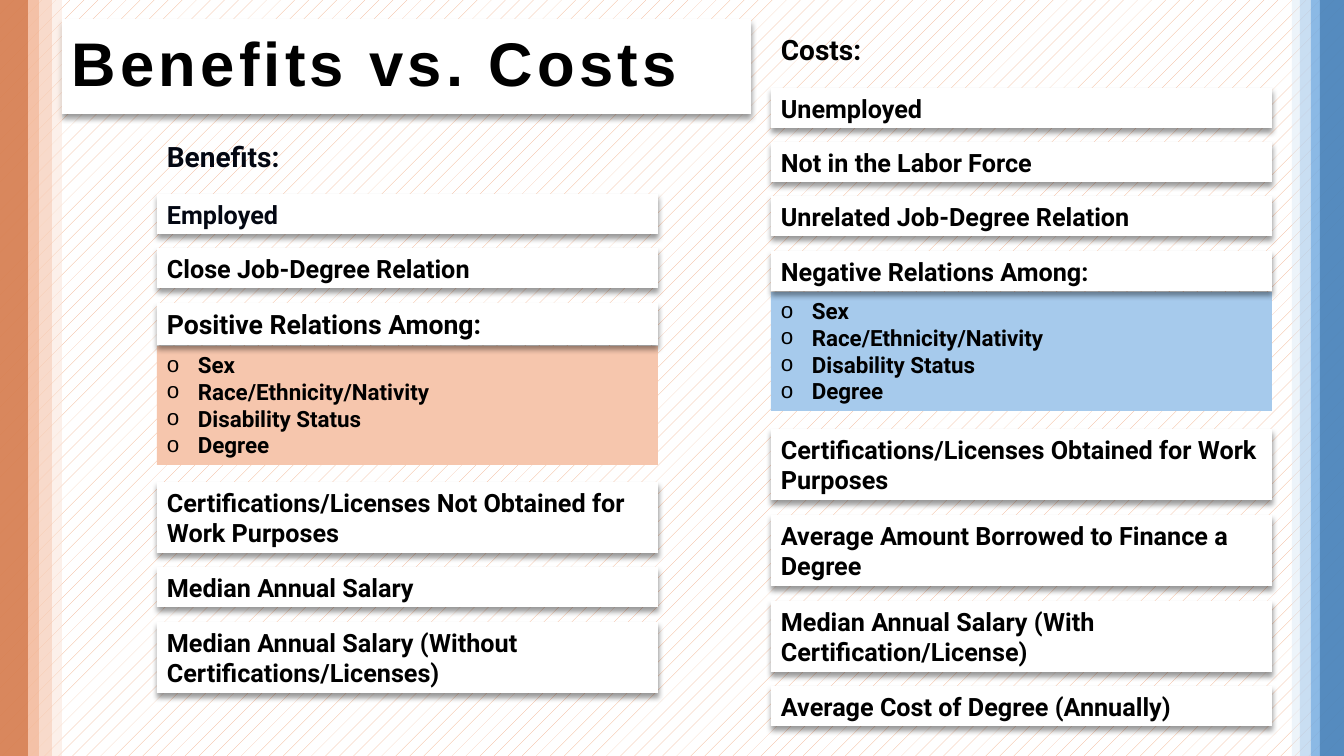
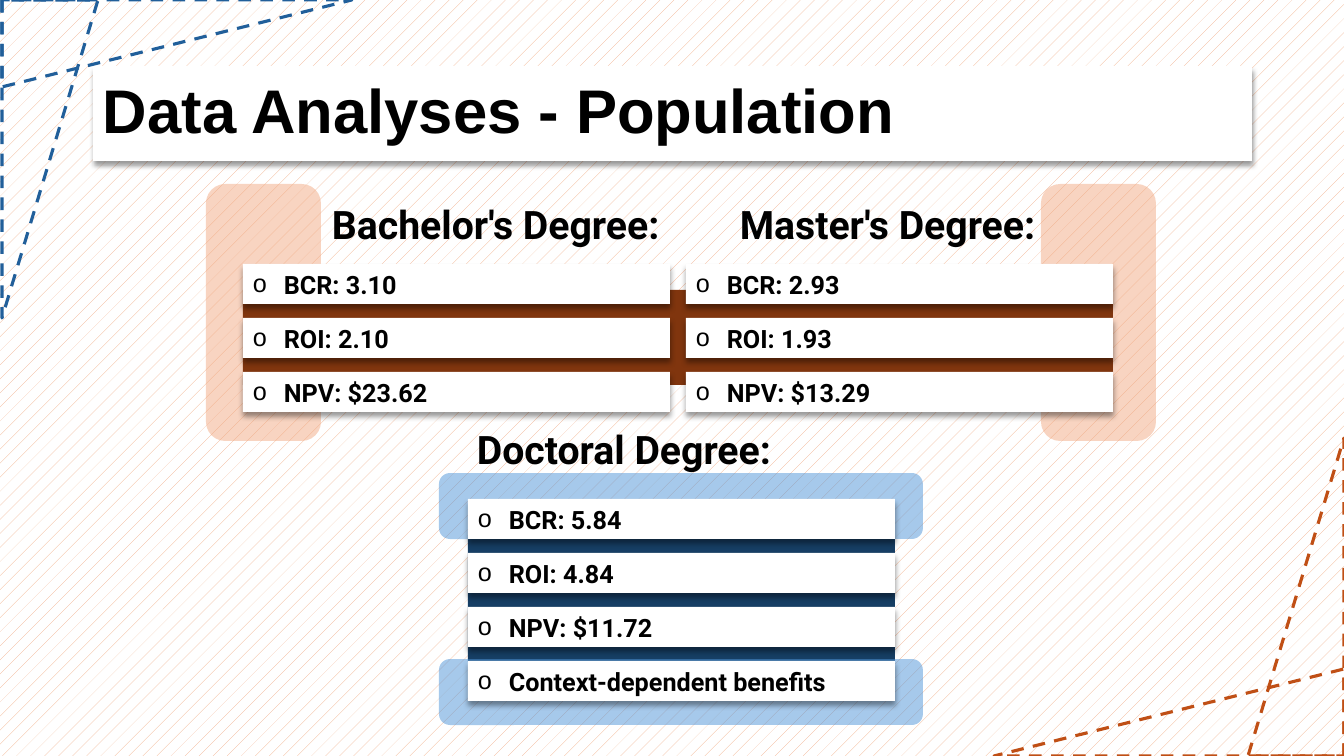
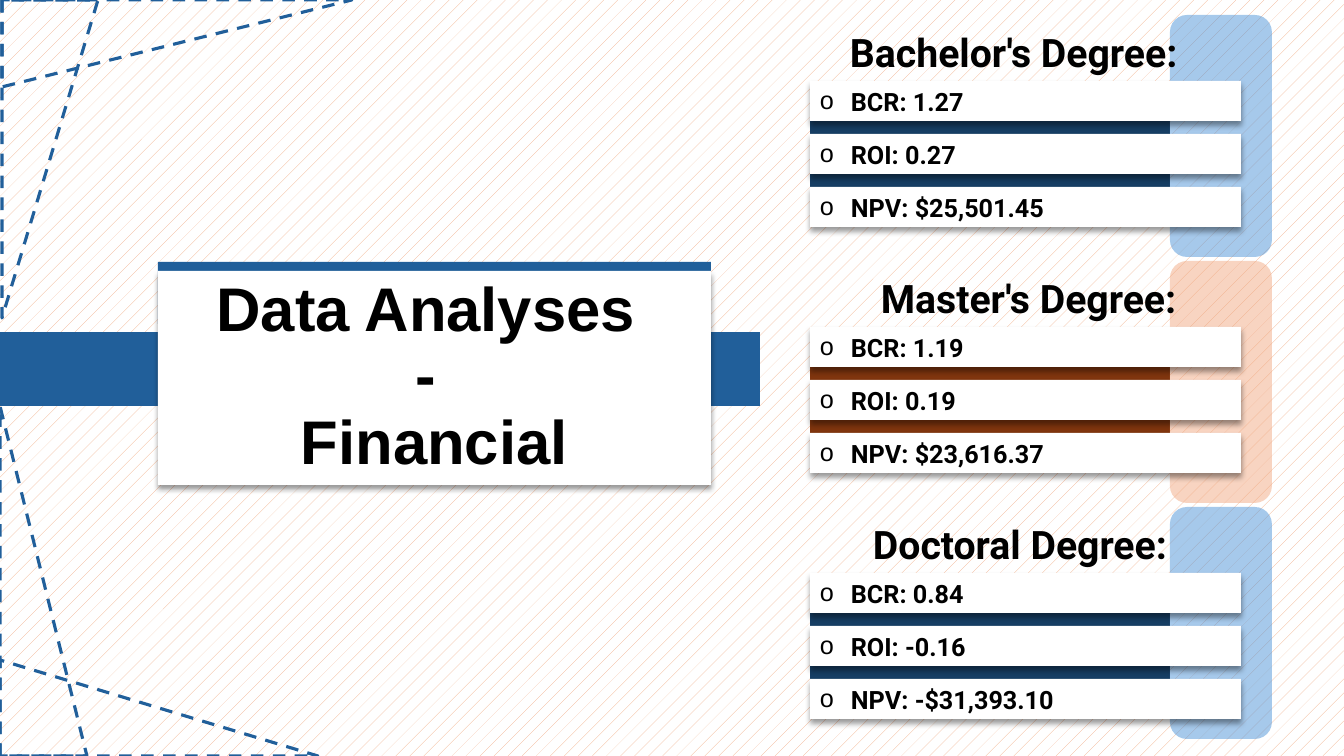
from lxml.etree import SubElement
from pptx import Presentation
from pptx.dml.color import RGBColor
from pptx.enum.dml import MSO_LINE, MSO_PATTERN
from pptx.enum.shapes import MSO_SHAPE
from pptx.enum.text import MSO_ANCHOR, MSO_AUTO_SIZE, PP_ALIGN
from pptx.oxml.ns import qn
from pptx.util import Pt

SLIDE_W, SLIDE_H = 1344, 756
EMU_PER_PX = 12192000 / SLIDE_W

WHITE, BLACK, INK = "FFFFFF", "000000", "030712"
ORANGE, PEACH, RUST, BROWN = "F2AA84", "F6C6AD", "C04F15", "80350E"
BLUE, SKY, ROYAL, NAVY = "4E95D9", "A6CAEC", "215F9A", "163E64"
TITLE_FONT, BODY_FONT = "Arial", "Roboto"
ROW_H = 40
BULLET_INDENT = 31

RELATIONS = ["Sex", "Race/Ethnicity/Nativity", "Disability Status", "Degree"]

# Each row: top within the column, height, size, text
BENEFITS = [
    (59, ROW_H, 18, "Employed"),
    (113, ROW_H, 18, "Close Job-Degree Relation"),
    (168, 42, 19, "Positive Relations Among:"),
    (347, 71, 18, "Certifications/Licenses Not Obtained for Work Purposes"),
    (432, ROW_H, 18, "Median Annual Salary"),
    (487, 71, 18, "Median Annual Salary (Without Certifications/Licenses)"),
]
COSTS = [
    (60, ROW_H, 18, "Unemployed"),
    (114, ROW_H, 18, "Not in the Labor Force"),
    (168, ROW_H, 18, "Unrelated Job-Degree Relation"),
    (223, ROW_H, 18, "Negative Relations Among:"),
    (401, 71, 18, "Certifications/Licenses Obtained for Work Purposes"),
    (487, 71, 18, "Average Amount Borrowed to Finance a Degree"),
    (573, 71, 18, "Median Annual Salary (With Certification/License)"),
    (658, ROW_H, 18, "Average Cost of Degree (Annually)"),
]


def px(length):
    return round(length * EMU_PER_PX)


def rgb(value):
    return RGBColor.from_string(value)


def new_slide(prs):
    slide = prs.slides.add_slide(prs.slide_layouts[6])
    fill = slide.background.fill
    fill.patterned()
    fill.pattern = MSO_PATTERN.PERCENT_5
    fill.fore_color.rgb = rgb(ORANGE)
    fill.back_color.rgb = rgb(WHITE)
    return slide


def add_shadow(shape):
    effects = shape._element.spPr.find(qn("a:effectLst"))
    outer = SubElement(effects, qn("a:outerShdw"), blurRad="50800", dist="38100",
                       dir="5400000", algn="t", rotWithShape="0")
    color = SubElement(outer, qn("a:srgbClr"), val=BLACK)
    SubElement(color, qn("a:alpha"), val="40000")


def block(slide, box, color, kind=MSO_SHAPE.RECTANGLE, alpha=None, shadow=False):
    shape = slide.shapes.add_shape(kind, *map(px, box))
    shape.shadow.inherit = False
    shape.line.fill.background()
    shape.fill.solid()
    shape.fill.fore_color.rgb = rgb(color)
    if alpha:
        solid = shape._element.spPr.find(qn("a:solidFill"))
        SubElement(solid[0], qn("a:alpha"), val=str(alpha * 1000))
    if shadow:
        add_shadow(shape)
    return shape


def add_run(paragraph, text, size, color=BLACK, font=BODY_FONT):
    run = paragraph.add_run()
    run.text = text
    run.font.size = Pt(size)
    run.font.name = font
    run.font.bold = True
    run.font.color.rgb = rgb(color)
    return run


def add_bullet(paragraph):
    props = paragraph._p.get_or_add_pPr()
    props.set("marL", str(px(BULLET_INDENT)))
    props.set("indent", str(-px(BULLET_INDENT)))
    SubElement(props, qn("a:buFont"), typeface=TITLE_FONT)
    SubElement(props, qn("a:buChar"), char="o")


def write(shape, lines, size, color=BLACK, bullets=False):
    frame = shape.text_frame
    frame.word_wrap = True
    frame.auto_size = MSO_AUTO_SIZE.SHAPE_TO_FIT_TEXT
    frame.vertical_anchor = MSO_ANCHOR.TOP
    for index, line in enumerate(lines):
        paragraph = frame.add_paragraph() if index else frame.paragraphs[0]
        paragraph.alignment = PP_ALIGN.LEFT
        if bullets:
            add_bullet(paragraph)
        add_run(paragraph, line, size, color)


def heading(slide, box, text, size=28, color=BLACK):
    write(slide.shapes.add_textbox(*map(px, box)), [text], size, color)


def title(slide, box, lines, align=PP_ALIGN.LEFT, tracking=0):
    panel = block(slide, box, WHITE, shadow=True)
    frame = panel.text_frame
    frame.word_wrap = True
    frame.vertical_anchor = MSO_ANCHOR.MIDDLE
    paragraph = frame.paragraphs[0]
    paragraph.alignment = align
    paragraph.line_spacing = 0.9
    for index, line in enumerate(lines):
        if index:
            paragraph.add_line_break()
        run = add_run(paragraph, line, 44, font=TITLE_FONT)
        if tracking:
            run.font._element.set("spc", str(tracking * 100))
    # Line breaks take the same size as the text
    for line_break in paragraph._p.findall(qn("a:br")):
        SubElement(line_break, qn("a:rPr"), sz="4400", b="1")


def corner(slide, x, y, wide, tall, color, right=False, bottom=False):
    """Two dashed triangles whose right angles meet at the point x, y."""
    for w, h in (wide, tall):
        box = (x - w if right else x, y - h if bottom else y, w, h)
        triangle = slide.shapes.add_shape(MSO_SHAPE.RIGHT_TRIANGLE, *map(px, box))
        triangle.shadow.inherit = False
        triangle.fill.background()
        triangle.line.color.rgb = rgb(color)
        triangle.line.width = Pt(2.25)
        triangle.line.dash_style = MSO_LINE.DASH
        frame = triangle._element.spPr.find(qn("a:xfrm"))
        if right:
            frame.set("flipH", "1")
        if not bottom:
            frame.set("flipV", "1")


def edge_bands(slide, bands, right=False):
    for width, color in bands:
        left = SLIDE_W - width if right else 0
        block(slide, (left, 0, width, SLIDE_H), color, alpha=50)


def comparison_column(slide, x, y, name, rows, list_top, list_color, name_color=BLACK,
                      dark_first=BLACK):
    width = 501
    relations = block(slide, (x, y + list_top, width, 119), list_color)
    write(relations, RELATIONS, 16, bullets=True)
    heading(slide, (x, y, width, 44), name, 20, name_color)
    for index, (top, height, size, text) in enumerate(rows):
        row = block(slide, (x, y + top, width, height), WHITE, shadow=True)
        write(row, [text], size, BLACK if index else dark_first)


def measures(slide, x, y, width, pitch, lines):
    for index, line in enumerate(lines):
        row = block(slide, (x, y + index * pitch, width, ROW_H), WHITE, shadow=True)
        write(row, [line], 18, bullets=True)


def rounded(slide, box, color):
    block(slide, box, color, MSO_SHAPE.ROUNDED_RECTANGLE, alpha=50)


def top_left_corner(slide):
    corner(slide, 2, 0, (350, 87), (96, 318), ROYAL)


def degree_panel(slide, x, y, name, name_x, lines, backing, tab, tab_h):
    block(slide, (x, y + 96, 360, 92), backing)
    rounded(slide, (x + 360, y, 102, tab_h), tab)
    heading(slide, (x + name_x, y + 8, 431, 57), name)
    measures(slide, x, y + 66, 431, 53, lines)


def benefits_and_costs(prs):
    slide = new_slide(prs)
    title(slide, (62, 19, 689, 95), ["Benefits vs. Costs"], tracking=3)
    edge_bands(slide, [(62, "FBE3D6"), (52, PEACH), (39, ORANGE), (28, RUST)])
    edge_bands(slide, [(52, "DCEAF7"), (44, SKY), (33, BLUE), (24, ROYAL)], right=True)
    comparison_column(slide, 157, 135, "Benefits:", BENEFITS, 211, PEACH, INK, INK)
    comparison_column(slide, 771, 28, "Costs:", COSTS, 264, SKY)


def population(prs):
    slide = new_slide(prs)
    # Coloured backing
    block(slide, (468, 535, 427, 127), NAVY)
    for top in (659, 473):
        rounded(slide, (439, top, 484, 66), BLUE)
    for left in (206, 1041):
        rounded(slide, (left, 184, 115, 257), ORANGE)
    block(slide, (243, 290, 870, 95), BROWN)
    title(slide, (93, 66, 1159, 95), ["Data Analyses - Population"])
    top_left_corner(slide)
    corner(slide, SLIDE_W, SLIDE_H, (350, 87), (96, 318), RUST, right=True, bottom=True)
    # Degrees: heading place, then rows
    degrees = [
        ("Bachelor's Degree:", 322, 195, 243, 264,
         ["BCR: 3.10", "ROI: 2.10", "NPV: $23.62"]),
        ("Master's Degree:", 730, 195, 686, 264,
         ["BCR: 2.93", "ROI: 1.93", "NPV: $13.29"]),
        ("Doctoral Degree:", 467, 420, 468, 499,
         ["BCR: 5.84", "ROI: 4.84", "NPV: $11.72", "Context-dependent benefits"]),
    ]
    for name, name_x, name_y, rows_x, rows_y, lines in degrees:
        heading(slide, (name_x, name_y, 427, 57), name)
        measures(slide, rows_x, rows_y, 427, 54, lines)


def financial(prs):
    slide = new_slide(prs)
    # Title with its crossing bar
    block(slide, (158, 262, 553, 62), ROYAL)
    block(slide, (0, 332, 760, 74), ROYAL)
    title(slide, (158, 271, 553, 214), ["Data Analyses ", "- ", "Financial"], PP_ALIGN.CENTER)
    top_left_corner(slide)
    corner(slide, 0, SLIDE_H, (318, 96), (87, 350), ROYAL, bottom=True)
    # Degrees
    degrees = [
        ("Bachelor's Degree:", 30, NAVY, BLUE, 242,
         ["BCR: 1.27", "ROI: 0.27", "NPV: $25,501.45"]),
        ("Master's Degree:", 61, BROWN, ORANGE, 242,
         ["BCR: 1.19", "ROI: 0.19", "NPV: $23,616.37"]),
        ("Doctoral Degree:", 53, NAVY, BLUE, 232,
         ["BCR: 0.84", "ROI: -0.16", "NPV: -$31,393.10"]),
    ]
    for index, (name, name_x, backing, tab, tab_h, lines) in enumerate(degrees):
        degree_panel(slide, 810, 15 + 246 * index, name, name_x, lines, backing, tab, tab_h)


def main():
    prs = Presentation()
    prs.slide_width, prs.slide_height = px(SLIDE_W), px(SLIDE_H)
    benefits_and_costs(prs)
    population(prs)
    financial(prs)
    prs.save("out.pptx")


if __name__ == "__main__":
    main()
